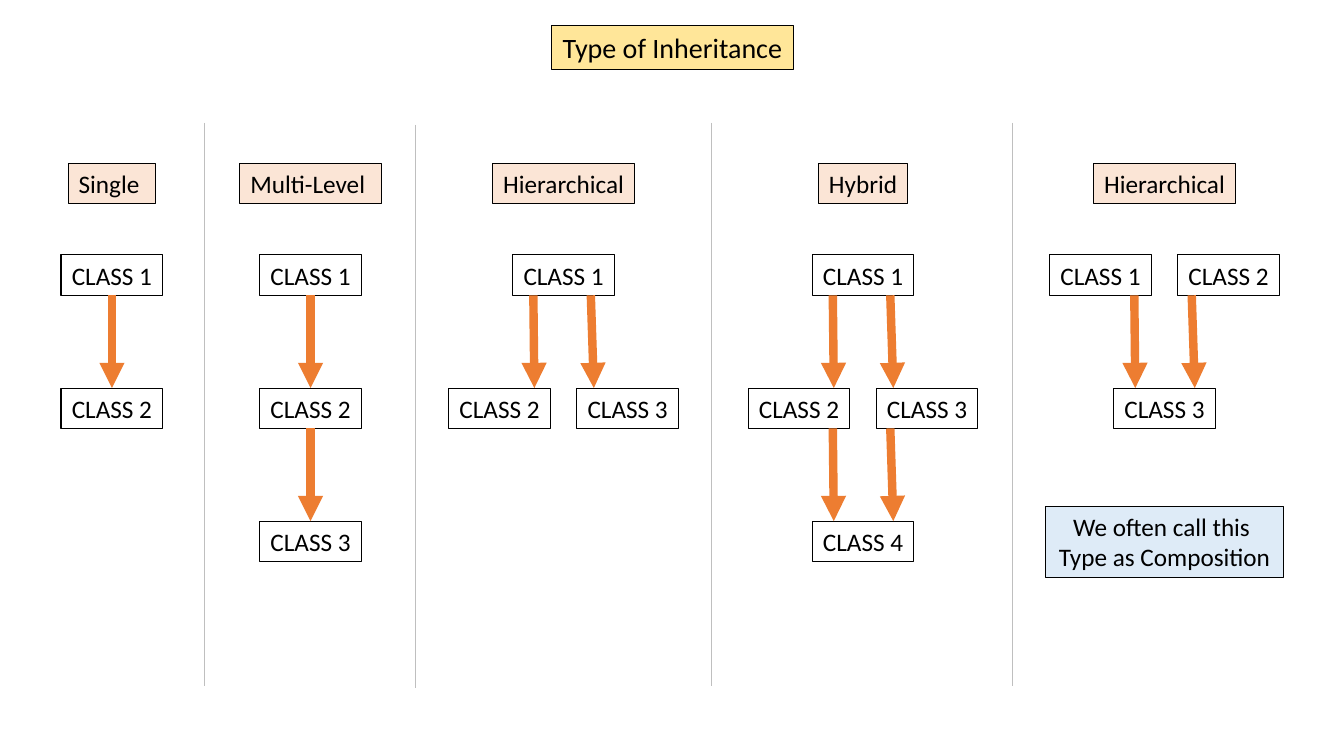
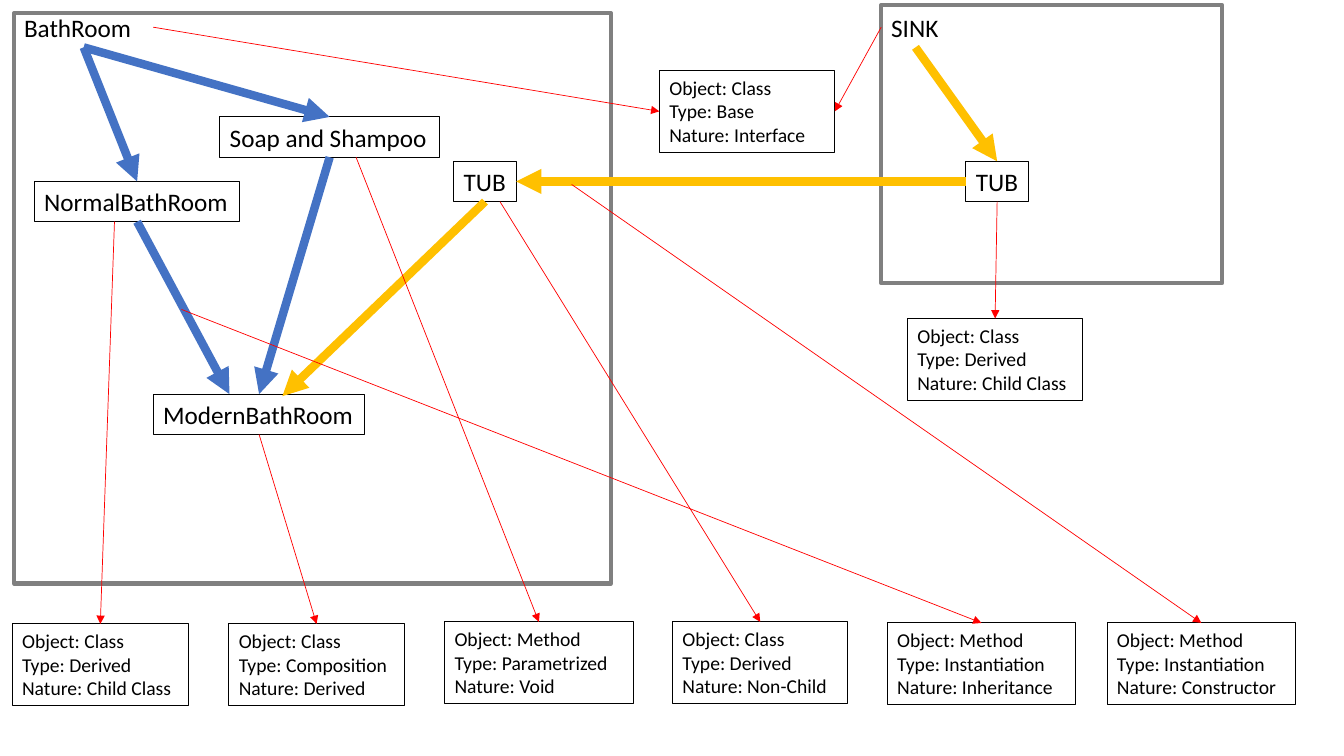
from dataclasses import dataclass

from lxml import etree
from pptx import Presentation
from pptx.dml.color import RGBColor
from pptx.enum.shapes import MSO_CONNECTOR, MSO_SHAPE
from pptx.enum.text import MSO_ANCHOR, MSO_AUTO_SIZE, PP_ALIGN
from pptx.oxml.ns import qn
from pptx.util import Inches, Pt

RECTANGLE = MSO_SHAPE.RECTANGLE
STRAIGHT = MSO_CONNECTOR.STRAIGHT
LEFT, CENTER = PP_ALIGN.LEFT, PP_ALIGN.CENTER

BLACK, GRAY, SILVER = "000000", "808080", "BFBFBF"
CREAM, PEACH, PALE_BLUE = "FFE699", "FBE5D6", "DEEBF7"
ORANGE, BLUE, GOLD, RED = "ED7D31", "4472C4", "FFC000", "FF0000"
FONT = "Calibri"
THICK, THIN = 6, 0.5
BOX_HEIGHT = 0.4

# Inheritance types: centre, heading, heading width, classes in each row
COLUMNS = [
    (1.11, "Single ", 0.87, (1, 1)),
    (3.08, "Multi-Level ", 1.41, (1, 1, 1)),
    (5.59, "Hierarchical", 1.41, (1, 2)),
    (8.56, "Hybrid", 0.89, (1, 2, 1)),
    (11.55, "Hierarchical", 1.41, (2, 1)),
]
DIVIDERS = [(2.03, 1.22), (4.12, 1.24), (7.06, 1.22), (10.04, 1.22)]
CLASS_WIDTH, CLASS_PITCH = 1.01, 1.27
HEADING_TOP, FIRST_ROW, ROW_PITCH = 1.62, 2.53, 1.32
PAIR_OFFSETS = [(-0.3, -0.29), (0.27, 0.3)]


@dataclass
class Box:
    left: float
    top: float
    width: float
    height: float = BOX_HEIGHT

    def at(self, across, down):
        """Point at the given fractions of the box."""
        return self.left + across * self.width, self.top + down * self.height


def rgb(color):
    return RGBColor.from_string(color)


def inches(*lengths):
    return [Inches(length) for length in lengths]


def outline(shape, color, width):
    shape.line.color.rgb = rgb(color)
    shape.line.width = Pt(width)


def add_text(page, box, text, size=18, fill=None, border=True, align=LEFT, wrap=False):
    label = page.shapes.add_textbox(*inches(box.left, box.top, box.width, box.height))
    if fill:
        label.fill.solid()
        label.fill.fore_color.rgb = rgb(fill)
    if border:
        outline(label, BLACK, 0.75)
    frame = label.text_frame
    settings = {
        "text": text,
        "word_wrap": wrap,
        "auto_size": MSO_AUTO_SIZE.SHAPE_TO_FIT_TEXT,
        "vertical_anchor": MSO_ANCHOR.TOP,
    }
    for name, value in settings.items():
        setattr(frame, name, value)
    for para in frame.paragraphs:
        para.alignment = align
        for span in para.runs:
            for name, value in {"name": FONT, "size": Pt(size)}.items():
                setattr(span.font, name, value)
            span.font.color.rgb = rgb(BLACK)
    return box


def add_frame(page, box):
    frame = page.shapes.add_shape(RECTANGLE, *inches(box.left, box.top, box.width, box.height))
    frame.shadow.inherit = False
    frame.fill.background()
    outline(frame, GRAY, 3)


def add_line(page, start, end, color, width, arrow=True):
    line = page.shapes.add_connector(STRAIGHT, *inches(*start, *end))
    outline(line, color, width)
    properties = line.element.spPr
    if arrow:
        etree.SubElement(properties.find(qn("a:ln")), qn("a:tailEnd"), type="triangle")
    etree.SubElement(properties, qn("a:effectLst"))


def add_inheritance_column(page, center, heading, heading_width, rows):
    """Heading over rows of numbered classes, with arrows between the rows."""
    heading_box = Box(center - heading_width / 2, HEADING_TOP, heading_width)
    add_text(page, heading_box, heading, fill=PEACH, align=CENTER)
    number = 0
    for row, count in enumerate(rows):
        top = FIRST_ROW + row * ROW_PITCH
        for place in range(count):
            number += 1
            middle = center + (place - (count - 1) / 2) * CLASS_PITCH
            box = Box(middle - CLASS_WIDTH / 2, top, CLASS_WIDTH)
            add_text(page, box, f"CLASS {number}", align=CENTER)
        if row:
            offsets = [(0, 0)] if rows[row - 1] == count else PAIR_OFFSETS
            bottom = top - ROW_PITCH + BOX_HEIGHT
            for start, end in offsets:
                add_line(page, (center + start, bottom), (center + end, top), ORANGE, THICK)


def add_inheritance_slide(page):
    add_text(page, Box(5.47, 0.25, 2.4, 0.44), "Type of Inheritance",
             size=20, fill=CREAM, align=CENTER)
    for column in COLUMNS:
        add_inheritance_column(page, *column)
    for left, top in DIVIDERS:
        add_line(page, (left, top), (left, top + 5.59), SILVER, THIN, arrow=False)
    add_text(page, Box(10.37, 5.02, 2.36, 0.71), "We often call this \nType as Composition",
             fill=PALE_BLUE, align=CENTER)


def add_bathroom(page, area):
    """Place the bathroom classes and return their boxes by name."""
    def place(left, top, width, text):
        return add_text(page, Box(area.left + left, area.top + top, width), text)

    label = Box(area.left, area.top - 0.06, 1.38)
    add_text(page, label, "BathRoom", border=False, wrap=True)
    add_frame(page, area)
    normal = place(0.2, 1.67, 2.04, "NormalBathRoom")
    modern = place(1.38, 3.78, 2.1, "ModernBathRoom")
    tub = place(4.36, 1.47, 0.62, "TUB")
    soap = place(2.04, 1.03, 2.18, "Soap and Shampoo")
    for start, end, color in [
        (label.at(0.5, 1), normal.at(0.5, 0), BLUE),
        (normal.at(0.5, 1), modern.at(0.36, 0), BLUE),
        (tub.at(0.5, 1), modern.at(0.61, 0.05), GOLD),
        (label.at(0.5, 1), soap.at(0.5, 0), BLUE),
        (soap.at(0.5, 1), modern.at(0.5, 0), BLUE),
    ]:
        add_line(page, start, end, color, THICK)
    return {"label": label, "normal": normal, "modern": modern, "tub": tub, "soap": soap}


def add_sink(page, area):
    """Place the sink classes and return their boxes by name."""
    label = add_text(page, Box(area.left, area.top + 0.02, 0.68), "SINK", border=False)
    add_frame(page, area)
    tub = add_text(page, Box(area.left + 0.84, area.top + 1.55, 0.62), "TUB")
    add_line(page, label.at(0.5, 1), tub.at(0.5, 0), GOLD, THICK)
    return {"label": label, "tub": tub}


def add_note(page, left, top, width, values, pointers):
    """Three-line description, with (start, across, down) pointers into it."""
    box = Box(left, top, width, 0.81)
    names = ("Object", "Type", "Nature")
    text = "\n".join(f"{name}: {value}" for name, value in zip(names, values))
    add_text(page, box, text, size=14, wrap=True)
    for start, across, down in pointers:
        add_line(page, start, box.at(across, down), RED, THIN)


def add_bathroom_slide(page):
    room = add_bathroom(page, Box(0.14, 0.13, 5.92, 5.66))
    sink = add_sink(page, Box(8.74, 0.05, 3.38, 2.76))
    add_line(page, sink["tub"].at(0, 0.5), room["tub"].at(1, 0.5), GOLD, THICK)

    # Notes pointed at from above: left, top, width, values, start
    for left, top, width, values, start in [
        (2.27, 6.19, 1.74, ("Class", "Composition", "Derived"), room["modern"].at(0.5, 1)),
        (0.12, 6.19, 1.75, ("Class", "Derived", "Child Class"), room["normal"].at(0.39, 1)),
        (9, 3.16, 1.74, ("Class", "Derived", "Child Class"), sink["tub"].at(0.5, 1)),
        (4.41, 6.17, 1.87, ("Method", "Parametrized", "Void"), room["soap"].at(0.62, 1)),
        (6.67, 6.17, 1.74, ("Class", "Derived", "Non-Child"), room["tub"].at(0.74, 1)),
        (8.8, 6.18, 1.87, ("Method", "Instantiation", "Inheritance"), (1.8, 3.07)),
        (10.98, 6.18, 1.87, ("Method", "Instantiation", "Constructor"), (5.67, 1.83)),
    ]:
        add_note(page, left, top, width, values, [(start, 0.5, 0)])
    add_note(page, 6.54, 0.7, 1.74, ("Class", "Base", "Interface"),
             [(room["label"].at(1, 0.5), 0, 0.5), (sink["label"].at(0, 0.5), 1, 0.5)])


def main():
    deck = Presentation()
    deck.slide_width, deck.slide_height = inches(13.33, 7.5)
    blank = deck.slide_layouts[6]
    for build in (add_inheritance_slide, add_bathroom_slide):
        build(deck.slides.add_slide(blank))
    deck.save("out.pptx")


if __name__ == "__main__":
    main()
